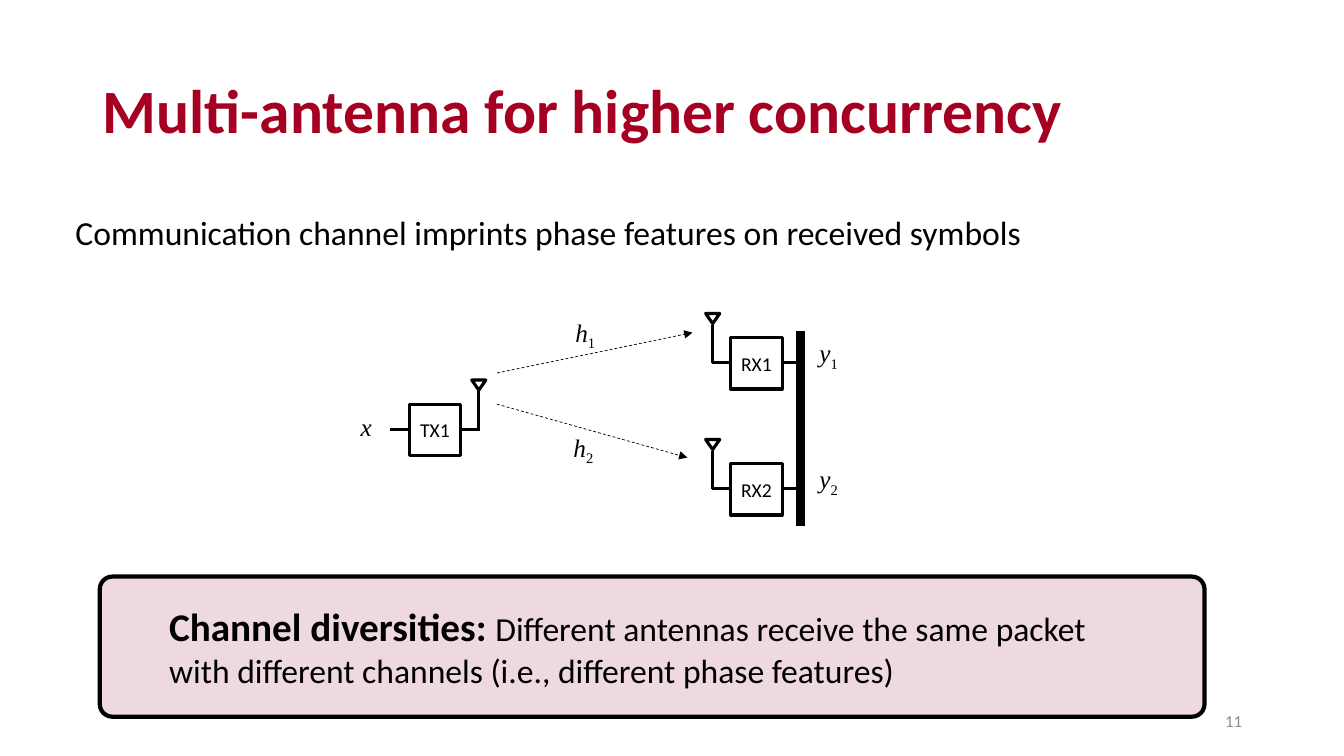
from dataclasses import dataclass

from lxml import etree
from pptx import Presentation
from pptx.dml.color import RGBColor
from pptx.enum.dml import MSO_LINE
from pptx.enum.shapes import MSO_CONNECTOR, MSO_SHAPE
from pptx.enum.text import MSO_ANCHOR, MSO_AUTO_SIZE, PP_ALIGN
from pptx.oxml.ns import qn
from pptx.util import Inches, Length, Pt

STRAIGHT = MSO_CONNECTOR.STRAIGHT
RECT = MSO_SHAPE.RECTANGLE
ROUNDED = MSO_SHAPE.ROUNDED_RECTANGLE
TRIANGLE = MSO_SHAPE.ISOSCELES_TRIANGLE
DASH = MSO_LINE.DASH
TOP, MIDDLE = MSO_ANCHOR.TOP, MSO_ANCHOR.MIDDLE
LEFT, CENTER, RIGHT = PP_ALIGN.LEFT, PP_ALIGN.CENTER, PP_ALIGN.RIGHT
NO_AUTOSIZE = MSO_AUTO_SIZE.NONE
TITLE_ONLY = 5

COLUMNS, ROWS = 133.33, 75
CELL = Inches(0.1)
SANS, SERIF = "Calibri", "Times New Roman"
BLACK, CRIMSON, ROSE, GREY = "000000", "A50021", "990033", "8C8C8C"
BOX = 5.1
LEAD = 1.9
LEAD_DROP = 2.5


@dataclass
class Span:
    text: str
    size: float | None = None
    bold: bool | None = None
    italic: bool | None = None
    subscript: bool = False


@dataclass
class Style:
    size: float
    font: str = SANS
    color: str = BLACK
    bold: bool = False
    italic: bool = False
    align: PP_ALIGN = LEFT
    anchor: MSO_ANCHOR = TOP
    wrap: bool = True


@dataclass
class Radio:
    name: str
    x: float
    y: float
    mast: float


@dataclass
class Ray:
    x1: float
    y1: float
    x2: float
    y2: float


@dataclass
class Symbol:
    letter: str
    index: str
    x: float
    y: float


RADIOS = [
    Radio("TX1", 40.6, 40.1, 6.9),
    Radio("RX1", 72.5, 33.5, -1.8),
    Radio("RX2", 72.5, 46, -1.8),
]
RAYS = [Ray(49.3, 37, 68.7, 33), Ray(49.3, 40.1, 68.2, 45.4)]
SYMBOLS = [
    Symbol("x", "", 34.8, 40.3),
    Symbol("y", "1", 80.3, 33),
    Symbol("y", "2", 80.3, 45.5),
    Symbol("h", "1", 56.1, 31),
    Symbol("h", "2", 55.9, 42.4),
]


def cells(count: float) -> Length:
    return Length(round(count * CELL))


def rgb(value: str) -> RGBColor:
    return RGBColor.from_string(value)


def write(tf, spans: list[Span], style: Style):
    tf.word_wrap = style.wrap
    tf.vertical_anchor = style.anchor
    p = tf.paragraphs[0]
    p.alignment = style.align
    p.font.name, p.font.size = style.font, Pt(style.size)
    p.font.bold, p.font.italic = style.bold, style.italic
    p.font.color.rgb = rgb(style.color)
    for span in spans:
        r = p.add_run()
        r.text = span.text
        r.font.color.rgb = rgb(style.color)
        if span.size:
            r.font.size = Pt(span.size)
        if span.bold is not None:
            r.font.bold = span.bold
        if span.italic is not None:
            r.font.italic = span.italic
        if span.subscript:
            r.font._element.set("baseline", "-25000")
    return p


def add_text(shapes, x: float, y: float, w: float, h: float,
             spans: list[Span], style: Style) -> None:
    s = shapes.add_textbox(cells(x), cells(y), cells(w), cells(h))
    write(s.text_frame, spans, style)


def add_outline(shapes, kind: MSO_SHAPE, x: float, y: float, w: float, h: float,
                weight: float = 2.25):
    s = shapes.add_shape(kind, cells(x), cells(y), cells(w), cells(h))
    s.shadow.inherit = False
    s.fill.background()
    s.line.color.rgb = rgb(BLACK)
    s.line.width = Pt(weight)
    return s


def add_line(shapes, x1: float, y1: float, x2: float, y2: float, weight: float = 2.25):
    c = shapes.add_connector(STRAIGHT, cells(x1), cells(y1), cells(x2), cells(y2))
    c.line.color.rgb = rgb(BLACK)
    c.line.width = Pt(weight)
    etree.SubElement(c._element.spPr, qn("a:effectLst"))
    return c


def add_radio(shapes, radio: Radio) -> None:
    group = shapes.add_group_shape().shapes
    x, y, mast = radio.x, radio.y, radio.x + radio.mast
    s = add_outline(group, RECT, x, y, BOX, BOX)
    tf = s.text_frame
    tf.margin_left = tf.margin_right = 0
    write(tf, [Span(radio.name)], Style(14, align=CENTER, anchor=MIDDLE, wrap=False))
    for start in (x - LEAD, x + BOX):
        add_line(group, start, y + LEAD_DROP, start + LEAD, y + LEAD_DROP)
    add_outline(group, TRIANGLE, mast - 0.7, y - 2.4, 1.4, 1).rotation = 180
    add_line(group, mast, y - 1.3, mast, y + LEAD_DROP)


def add_ray(shapes, ray: Ray) -> None:
    c = add_line(shapes, ray.x1, ray.y1, ray.x2, ray.y2, 0.5)
    c.line.dash_style = DASH
    etree.SubElement(c.line._get_or_add_ln(), qn("a:tailEnd"), type="triangle")


def add_panel(shapes) -> None:
    s = add_outline(shapes, ROUNDED, 9.9, 57.2, 109.6, 13.9, 3)
    s.adjustments[0] = 0.09
    s.fill.solid()
    s.fill.fore_color.rgb = rgb(ROSE)
    color = s._element.spPr.find(qn("a:solidFill")).find(qn("a:srgbClr"))
    etree.SubElement(color, qn("a:alpha"), val="15000")


def main() -> None:
    prs = Presentation()
    prs.slide_width, prs.slide_height = cells(COLUMNS), cells(ROWS)
    slide = prs.slides.add_slide(prs.slide_layouts[TITLE_ONLY])
    shapes = slide.shapes

    title = shapes.title
    title.left, title.top = cells(9.2), cells(4)
    title.width, title.height = cells(115), cells(14.5)
    title.text_frame.auto_size = NO_AUTOSIZE
    p = write(title.text_frame, [Span("Multi-antenna for higher concurrency")],
              Style(44, color=CRIMSON, bold=True, anchor=MIDDLE))
    p.line_spacing = 0.9

    add_panel(shapes)
    add_text(shapes, 94.2, 69.5, 30, 4, [Span("11")],
             Style(12, color=GREY, align=RIGHT, anchor=MIDDLE))
    add_text(shapes, 6.5, 20.5, 109.9, 5,
             [Span("Communication channel imprints phase features on received symbols")],
             Style(24))
    for radio in RADIOS:
        add_radio(shapes, radio)
    for ray in RAYS:
        add_ray(shapes, ray)
    for symbol in SYMBOLS:
        spans = [Span(symbol.letter)]
        if symbol.index:
            spans.append(Span(symbol.index, italic=False, subscript=True))
        add_text(shapes, symbol.x, symbol.y, 4 if symbol.index else 3.1, 4, spans,
                 Style(18, font=SERIF, italic=True, wrap=False))
    add_line(shapes, 79.4, 32.8, 79.4, 52.2, 6)
    add_text(shapes, 15.8, 59.3, 97.7, 9.8,
             [Span("Channel diversities: ", size=28, bold=True),
              Span("Different antennas receive the same packet with different channels "
                   "(i.e., different phase features)")],
             Style(24))
    prs.save("out.pptx")


if __name__ == "__main__":
    main()
